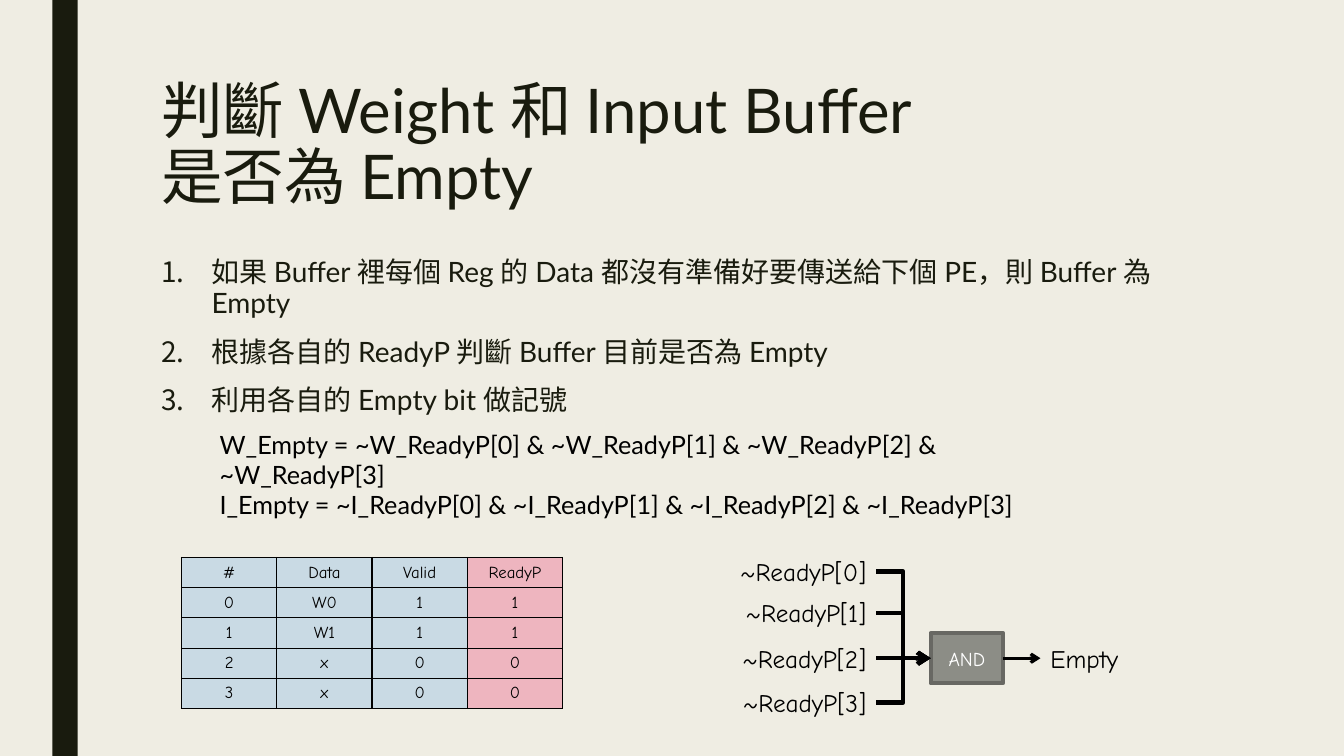
from pptx import Presentation
from pptx.dml.color import RGBColor
from pptx.enum import shapes, text
from pptx.oxml import parse_xml
from pptx.oxml.ns import nsdecls, qn
from pptx.util import Inches, Pt

BODY_FONT, DIAGRAM_FONT = "Lato", "Comic Neue"
INK, BLACK, WHITE, PAPER = "191B0E", "000000", "FFFFFF", "EFEDE3"
BLUE, PINK = "C9DAE4", "EEB5BF"

CONDITIONS = [
    "如果 Buffer 裡每個 Reg 的 Data 都沒有準備好要傳送給下個 PE，則 Buffer 為 Empty",
    "根據各自的 ReadyP 判斷 Buffer 目前是否為 Empty",
    "利用各自的 Empty bit 做記號",
]
EQUATIONS = [
    "W_Empty = ~W_ReadyP[0] & ~W_ReadyP[1] & ~W_ReadyP[2] & ~W_ReadyP[3]",
    "I_Empty = ~I_ReadyP[0] & ~I_ReadyP[1] & ~I_ReadyP[2] & ~I_ReadyP[3]",
]
BUFFER_ROWS = [
    ["#", "Data", "Valid", "ReadyP"],
    ["0", "W0", "1", "1"],
    ["1", "W1", "1", "1"],
    ["2", "x", "0", "0"],
    ["3", "x", "0", "0"],
]


def color(hex_value):
    return RGBColor.from_string(hex_value)


def paint(target, hex_value):
    target.fill.solid()
    target.fill.fore_color.rgb = color(hex_value)


def write(frame, lines, size=18, font=BODY_FONT, ink=BLACK, align="LEFT", anchor="TOP",
          indent=0, numbered=False, spacing=None, before=0, after=0):
    """Fill a text frame with one formatted paragraph per line."""
    frame.word_wrap = True
    frame.auto_size = text.MSO_AUTO_SIZE.NONE
    frame.vertical_anchor = text.MSO_ANCHOR[anchor]
    for index, line in enumerate(lines):
        paragraph = frame.add_paragraph() if index else frame.paragraphs[0]
        paragraph.text = line
        paragraph.alignment = text.PP_ALIGN[align]
        paragraph.line_spacing = spacing
        paragraph.space_before = Pt(before if index else 0)
        paragraph.space_after = Pt(after)
        if indent:
            properties = paragraph._p.get_or_add_pPr()
            properties.set("marL", str(Inches(indent)))
            properties.set("indent", str(-Inches(indent) if numbered else 0))
            if numbered:
                properties.append(parse_xml(
                    f'<a:buAutoNum {nsdecls("a")} type="arabicPeriod"/>'))
        for run in paragraph.runs:
            run.font.size = Pt(size)
            run.font.name = font
            run.font.color.rgb = color(ink)


def add_text(slide, box, lines, **style):
    shape = slide.shapes.add_textbox(*map(Inches, box))
    write(shape.text_frame, lines, **style)


def add_box(slide, box, fill, outline=None, width=0):
    shape = slide.shapes.add_shape(shapes.MSO_SHAPE.RECTANGLE, *map(Inches, box))
    shape.shadow.inherit = False
    paint(shape, fill)
    if outline:
        shape.line.color.rgb = color(outline)
        shape.line.width = Pt(width)
    else:
        shape.line.fill.background()
    return shape


def add_arrow(slide, start, end, width):
    """Draw an arrow, with an elbow when the ends differ in height."""
    kind = "STRAIGHT" if start[1] == end[1] else "ELBOW"
    arrow = slide.shapes.add_connector(
        shapes.MSO_CONNECTOR[kind], *map(Inches, (*start, *end)))
    arrow.line.color.rgb = color(BLACK)
    arrow.line.width = Pt(width)
    arrow.line._get_or_add_ln().append(
        parse_xml(f'<a:tailEnd {nsdecls("a")} type="arrow"/>'))
    arrow._element.spPr.append(parse_xml(f'<a:effectLst {nsdecls("a")}/>'))


def add_borders(cell):
    properties = cell._tc.get_or_add_tcPr()
    for side in "LRTB":
        properties.append(parse_xml(
            f'<a:ln{side} {nsdecls("a")} w="{Pt(1)}"><a:solidFill>'
            f'<a:srgbClr val="{BLACK}"/></a:solidFill></a:ln{side}>'))


def add_buffer_table(slide):
    table = slide.shapes.add_table(
        len(BUFFER_ROWS), len(BUFFER_ROWS[0]),
        *map(Inches, (1.8, 5.53, 3.78, 1.5))).table
    for row_index, values in enumerate(BUFFER_ROWS):
        for column_index, value in enumerate(values):
            cell = table.cell(row_index, column_index)
            cell.margin_top = cell.margin_bottom = Inches(0.03)
            add_borders(cell)
            paint(cell, PINK if column_index == len(values) - 1 else BLUE)
            write(cell.text_frame, [value], size=12, font=DIAGRAM_FONT, align="CENTER")
            cell.vertical_anchor = text.MSO_ANCHOR.MIDDLE


def add_gate_diagram(slide):
    gate_left, gate_right, middle = 9.23, 9.95, 6.53
    gate = add_box(slide, (gate_left, 6.28, 0.72, 0.5), "8C8D86", "686863", 2.75)
    write(gate.text_frame, ["AND"], size=14, font=DIAGRAM_FONT, ink=WHITE,
          align="CENTER", anchor="MIDDLE")
    for index, height in enumerate((5.67, 6.08, middle, 6.97)):
        add_text(slide, (6.83, height - 0.2, 1.86, 0.4), [f"~ReadyP[{index}]"],
                 font=DIAGRAM_FONT, align="RIGHT")
        add_arrow(slide, (8.69, height), (gate_left, middle), 3)
    add_arrow(slide, (gate_right, middle), (10.32, middle), 2.25)
    add_text(slide, (10.32, middle - 0.2, 2.66, 0.4), ["Empty"], font=DIAGRAM_FONT)


def add_title(slide, box, line):
    title = slide.shapes.title
    title.left, title.top, title.width, title.height = map(Inches, box)
    write(title.text_frame, [line], size=44, ink=INK, spacing=0.89)


def main():
    presentation = Presentation()
    presentation.slide_width, presentation.slide_height = Inches(13.33), Inches(7.5)
    slide = presentation.slides.add_slide(presentation.slide_layouts.get_by_name("Title Only"))
    paint(slide.background, PAPER)
    add_box(slide, (0.52, 0, 0.25, 7.5), INK)
    add_title(slide, (1.5, 0.75, 10.5, 1.62), "判斷 Weight 和 Input Buffer\v是否為 Empty")
    add_text(slide, (1.5, 2.5, 10.5, 3.92), CONDITIONS, size=20, ink=INK, indent=0.5,
             numbered=True, spacing=0.94, before=10, after=2)
    add_text(slide, (1.5, 4.21, 9.12, 0.71), EQUATIONS, indent=0.58)
    add_gate_diagram(slide)
    add_buffer_table(slide)
    presentation.save("out.pptx")


if __name__ == "__main__":
    main()
